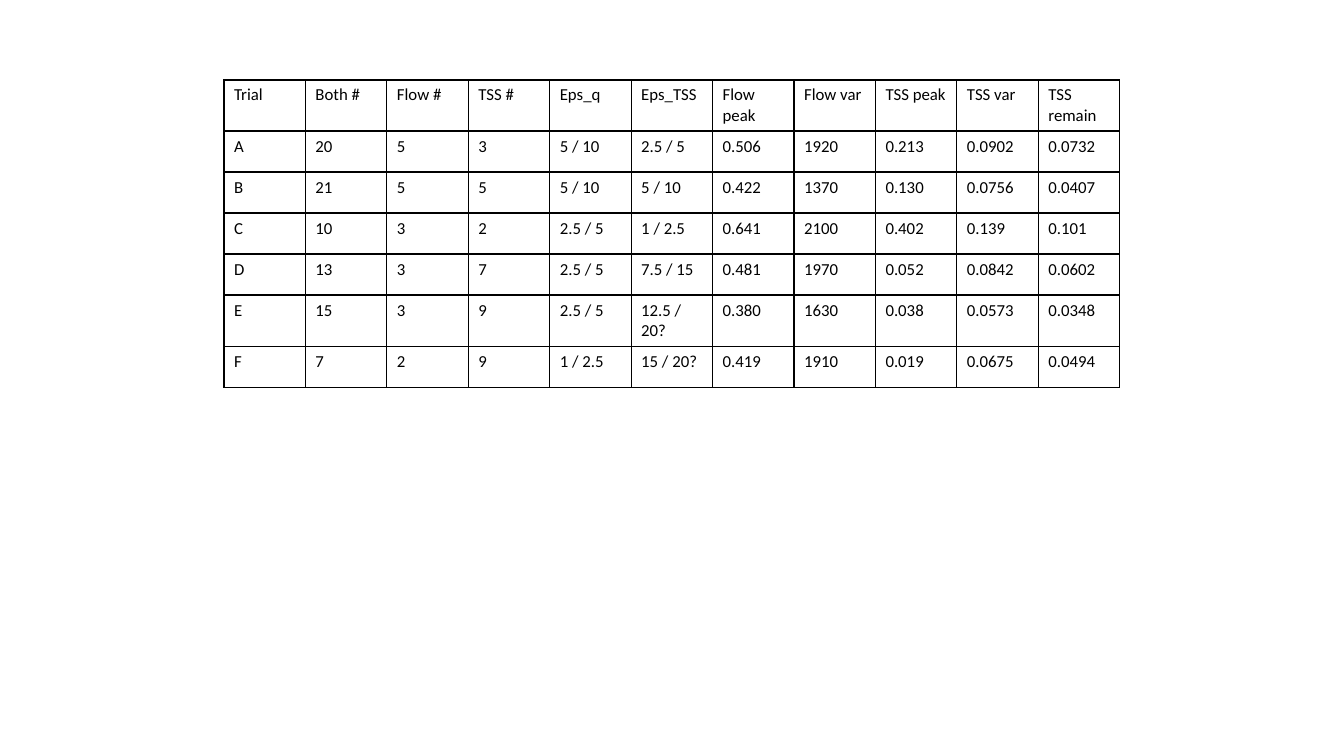
import pptx
import pptx.dml.color
import pptx.oxml
import pptx.oxml.ns
import pptx.util

HEADINGS = ["Trial", "Both #", "Flow #", "TSS #", "Eps_q", "Eps_TSS",
            "Flow peak", "Flow var", "TSS peak", "TSS var", "TSS remain"]
TRIALS = [
    ["A", "20", "5", "3", "5 / 10", "2.5 / 5", "0.506", "1920", "0.213", "0.0902", "0.0732"],
    ["B", "21", "5", "5", "5 / 10", "5 / 10", "0.422", "1370", "0.130", "0.0756", "0.0407"],
    ["C", "10", "3", "2", "2.5 / 5", "1 / 2.5", "0.641", "2100", "0.402", "0.139", "0.101"],
    ["D", "13", "3", "7", "2.5 / 5", "7.5 / 15", "0.481", "1970", "0.052", "0.0842", "0.0602"],
    ["E", "15", "3", "9", "2.5 / 5", "12.5 / 20?", "0.380", "1630", "0.038", "0.0573", "0.0348"],
    ["F", "7", "2", "9", "1 / 2.5", "15 / 20?", "0.419", "1910", "0.019", "0.0675", "0.0494"],
]
COLOURS = {"text": "000000", "border": "000000"}
FONT = "Calibri"
PAGE_WIDTH, PAGE_HEIGHT = 1344, 756
TABLE_LEFT, TABLE_TOP, TABLE_WIDTH, ROW_HEIGHT = 224, 80, 896, 41
EMU_PER_PX = 914400 / 100.8


def px(length):
    return pptx.util.Emu(round(length * EMU_PER_PX))


def add_borders(cell):
    """Draw a 1 pt line on all four sides of the cell."""
    properties = cell._tc.get_or_add_tcPr()
    for position, side in enumerate(("lnL", "lnR", "lnT", "lnB")):
        line = pptx.oxml.parse_xml(
            f'<a:{side} {pptx.oxml.ns.nsdecls("a")} w="{pptx.util.Pt(1)}">'
            f'<a:solidFill><a:srgbClr val="{COLOURS["border"]}"/></a:solidFill>'
            f'</a:{side}>')
        properties.insert(position, line)


def fill_cell(cell, text):
    cell.text = text
    cell.fill.background()
    add_borders(cell)
    font = cell.text_frame.paragraphs[0].font
    font.name = FONT
    font.size = pptx.util.Pt(12)
    font.bold = False
    font.color.rgb = pptx.dml.color.RGBColor.from_string(COLOURS["text"])


def main():
    deck = pptx.Presentation()
    deck.slide_width, deck.slide_height = px(PAGE_WIDTH), px(PAGE_HEIGHT)
    page = deck.slides.add_slide(deck.slide_layouts[6])

    rows = [HEADINGS] + TRIALS
    table = page.shapes.add_table(
        len(rows), len(HEADINGS), px(TABLE_LEFT), px(TABLE_TOP),
        px(TABLE_WIDTH), px(ROW_HEIGHT * len(rows))).table
    table.first_row = table.horz_banding = False
    for column in table.columns:
        column.width = px(TABLE_WIDTH / len(HEADINGS))
    for table_row, texts in zip(table.rows, rows):
        table_row.height = px(ROW_HEIGHT)
        for cell, text in zip(table_row.cells, texts):
            fill_cell(cell, text)

    deck.save("out.pptx")


if __name__ == "__main__":
    main()
